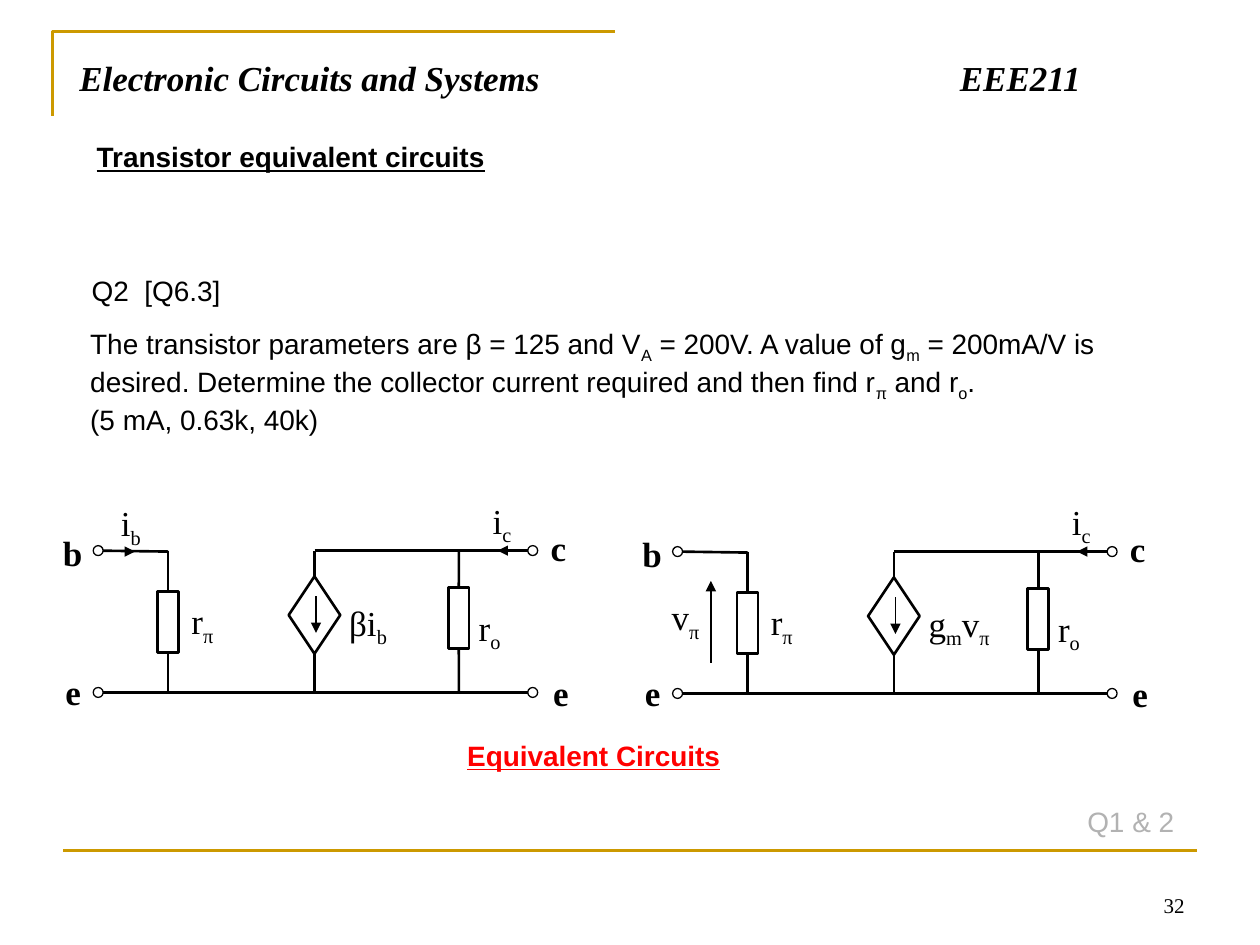
from dataclasses import dataclass

from pptx import Presentation
from pptx.dml.color import RGBColor
from pptx.enum.shapes import MSO_CONNECTOR, MSO_SHAPE
from pptx.enum.text import MSO_ANCHOR, PP_ALIGN
from pptx.oxml.ns import qn
from pptx.util import Cm, Pt
from lxml import etree

STRAIGHT = MSO_CONNECTOR.STRAIGHT
RECTANGLE, DIAMOND, OVAL = MSO_SHAPE.RECTANGLE, MSO_SHAPE.DIAMOND, MSO_SHAPE.OVAL
ANCHOR_TOP, ANCHOR_BOTTOM = MSO_ANCHOR.TOP, MSO_ANCHOR.BOTTOM
ALIGN_LEFT, ALIGN_RIGHT = PP_ALIGN.LEFT, PP_ALIGN.RIGHT
TOP, BOTTOM = 0, 2


@dataclass(frozen=True)
class Theme:
    black: str = "000000"
    white: str = "FFFFFF"
    gold: str = "CC9900"
    red: str = "FF0000"
    grey: str = "B2B2B2"
    sans: str = "Arial"
    serif: str = "Times New Roman"
    body_size: int = 16
    symbol_size: int = 20
    number_size: int = 12
    wire: float = 1.5
    thin: float = 0.75


class SlideBuilder:
    def __init__(self, slide, theme):
        self.slide = slide
        self.theme = theme

    def set_line(self, item, color, width):
        item.line.color.rgb = RGBColor.from_string(color)
        item.line.width = Pt(width)

    def text(self, left, top, width, height, content, font=None, size=None, color=None,
             bold=False, italic=False, underline=False, inset=True,
             align=ALIGN_LEFT, anchor=ANCHOR_TOP, tab=None):
        """Every second part between bars is a subscript."""
        box = self.slide.shapes.add_textbox(Cm(left), Cm(top), Cm(width), Cm(height))
        frame = box.text_frame
        frame.word_wrap = True
        frame.vertical_anchor = anchor
        if not inset:
            frame.margin_left = frame.margin_right = 0
            frame.margin_top = frame.margin_bottom = 0
        for index, line in enumerate(content.split("\n")):
            paragraph = frame.add_paragraph() if index else frame.paragraphs[0]
            paragraph.alignment = align
            if tab:
                stops = etree.SubElement(paragraph._p.get_or_add_pPr(), qn("a:tabLst"))
                etree.SubElement(stops, qn("a:tab"), pos=str(Cm(tab)), algn="l")
            for position, part in enumerate(line.split("|")):
                if not part:
                    continue
                run = paragraph.add_run()
                run.text = part
                run.font.name = font or self.theme.sans
                run.font.size = Pt(size or self.theme.body_size)
                run.font.bold, run.font.italic = bold, italic
                run.font.underline = underline
                run.font.color.rgb = RGBColor.from_string(color or self.theme.black)
                if position % 2:
                    run._r.get_or_add_rPr().set("baseline", "-25000")

    def symbol(self, left, top, width, content, bold=False):
        self.text(left, top, width, 0.84, content, self.theme.serif,
                  self.theme.symbol_size, bold=bold, inset=False)

    def shape(self, kind, left, top, width, height, line_width):
        shape = self.slide.shapes.add_shape(kind, Cm(left), Cm(top), Cm(width), Cm(height))
        shape.shadow.inherit = False
        shape.fill.solid()
        shape.fill.fore_color.rgb = RGBColor.from_string(self.theme.white)
        self.set_line(shape, self.theme.black, line_width)
        return shape

    def line(self, x1, y1, x2, y2, width=None, color=None, arrow=False, begin=None, end=None):
        """begin and end are (shape, side) pairs to join."""
        connector = self.slide.shapes.add_connector(STRAIGHT, Cm(x1), Cm(y1), Cm(x2), Cm(y2))
        self.set_line(connector, color or self.theme.black, width or self.theme.wire)
        if arrow:
            etree.SubElement(connector.line._get_or_add_ln(), qn("a:tailEnd"), type="triangle")
        etree.SubElement(connector._element.spPr, qn("a:effectLst"))
        if begin:
            connector.begin_connect(*begin)
        if end:
            connector.end_connect(*end)

    def polyline(self, points, color, width):
        corners = [(Cm(x), Cm(y)) for x, y in points]
        builder = self.slide.shapes.build_freeform(*corners[0])
        builder.add_line_segments(corners[1:], close=False)
        shape = builder.convert_to_shape()
        shape.shadow.inherit = False
        shape.fill.background()
        self.set_line(shape, color, width)

    def circuit(self, dx, dy, source_label):
        """Transistor model: input resistor, current source, output resistor."""
        top_wire, bottom_wire = 11.1 + dy, 13.96 + dy
        left_end, right_end = 1.98 + dx, 10.74 + dx
        base, source, output = 3.39 + dx, 6.34 + dx, 9.25 + dx

        # Horizontal wires
        self.line(left_end, top_wire, base, top_wire + 0.02)
        self.line(source, top_wire, right_end, top_wire)
        self.line(left_end, bottom_wire, right_end, bottom_wire)

        # Components and their leads
        parts = [(RECTANGLE, base, 11.92, 0.42, 1.24),
                 (DIAMOND, source, 11.62, 1.04, 1.56),
                 (RECTANGLE, output, 11.84, 0.42, 1.24)]
        for kind, center, top, width, height in parts:
            top += dy
            part = self.shape(kind, center - width / 2, top, width, height, self.theme.wire)
            self.line(center, top_wire, center, top, end=(part, TOP))
            self.line(center, top + height, center, bottom_wire, begin=(part, BOTTOM))

        # Current arrows
        self.line(source + 0.03, 12.02 + dy, source + 0.03, 12.76 + dy, self.theme.thin, arrow=True)
        self.line(right_end - 0.3, top_wire, right_end - 0.71, top_wire, self.theme.thin, arrow=True)

        # Terminals
        for x in (left_end, right_end):
            for y in (top_wire, bottom_wire):
                self.shape(OVAL, x - 0.1, y - 0.1, 0.2, 0.2, self.theme.thin)

        # Labels
        for x, y, content in [(1.27, 10.72, "b"), (1.32, 13.51, "e"),
                              (11.1, 10.62, "c"), (11.15, 13.53, "e")]:
            self.symbol(x + dx, y + dy, 0.38, content, bold=True)
        for x, y, width, content in [(3.86, 12.09, 0.71, "r|π"), (7.04, 12.12, 1.42, source_label),
                                     (9.65, 12.22, 0.5, "r|o"), (9.93, 10.06, 0.64, "i|c")]:
            self.symbol(x + dx, y + dy, width, content)


def main():
    presentation = Presentation()
    presentation.slide_width, presentation.slide_height = Cm(25.4), Cm(19.05)
    theme = Theme()
    builder = SlideBuilder(presentation.slides.add_slide(presentation.slide_layouts[6]), theme)

    # Frame and page number
    builder.polyline([(1.06, 2.33), (1.06, 0.64), (12.4, 0.64)], theme.gold, theme.wire)
    builder.line(1.27, 17.15, 24.13, 17.15, color=theme.gold)
    builder.text(18.2, 17.35, 5.93, 1.27, "32", theme.serif, theme.number_size,
                 align=ALIGN_RIGHT, anchor=ANCHOR_BOTTOM)

    # Headings
    builder.text(1.35, 1.02, 22.66, 1.55, "Electronic Circuits and Systems\tEEE211", theme.serif,
                 theme.symbol_size, bold=True, italic=True, tab=17.75)
    builder.text(1.7, 2.69, 8.8, 0.94, "Transistor equivalent circuits", bold=True, underline=True)

    # Question
    builder.text(1.6, 5.38, 3.89, 0.94, "Q2  [Q6.3]")
    builder.text(1.57, 6.45, 21.13, 2.29,
                 "The transistor parameters are β = 125 and V|A| = 200V. A value of g|m| = 200mA/V is "
                 "desired. Determine the collector current required and then find r|π| and r|o|.\n"
                 "(5 mA, 0.63k, 40k)")

    # Current-controlled model
    builder.circuit(0, 0, "βi|b")
    builder.line(2.34, 11.12, 2.72, 11.12, theme.thin, arrow=True)
    builder.symbol(2.44, 10.11, 0.64, "i|b")

    # Voltage-controlled model
    builder.circuit(11.68, 0.02, "g|m|v|π")
    builder.line(14.33, 13.36, 14.33, 11.71, theme.thin, arrow=True)
    builder.symbol(13.54, 12.01, 0.64, "v|π")

    # Caption and reference
    builder.text(9.17, 14.76, 5.8, 0.94, "Equivalent Circuits", color=theme.red,
                 bold=True, underline=True)
    builder.text(21.67, 16.1, 2.79, 0.94, "Q1 & 2", color=theme.grey)

    presentation.save("out.pptx")


if __name__ == "__main__":
    main()
